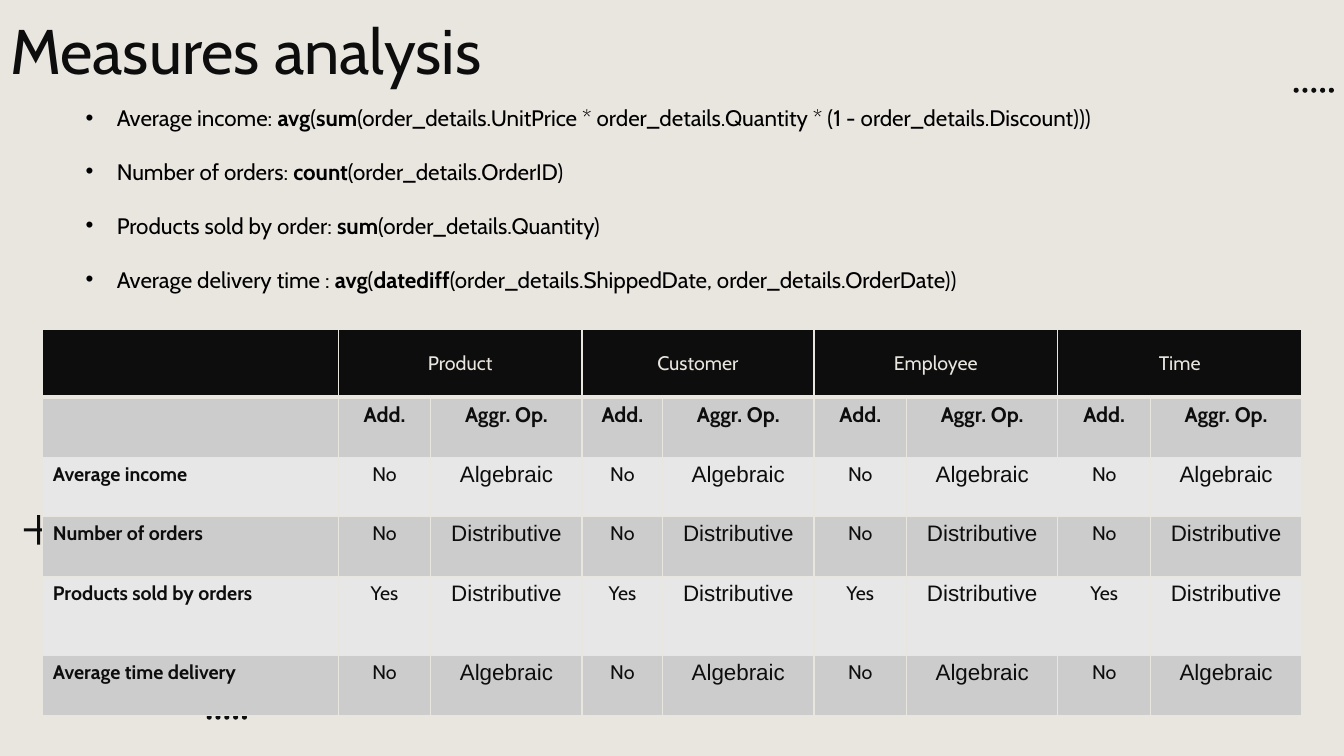
"""Builds the measures analysis slide with its formulas and aggregation table."""
from lxml.etree import SubElement
from pptx import Presentation
from pptx.dml.color import RGBColor
from pptx.enum.shapes import MSO_SHAPE as Shape
from pptx.enum.text import MSO_ANCHOR as Anchor, MSO_AUTO_SIZE as AutoSize, PP_ALIGN as Align
from pptx.oxml.ns import qn
from pptx.util import Inches, Pt

COLORS = {"paper": "E9E5DF", "ink": "0D0D0D", "black": "000000", "dark": "CCCCCC", "light": "E7E7E7"}
GRID_COLUMNS = 160

FORMULAS = [
    [("Average income: ", False), ("avg", True), ("(", False), ("sum", True),
     ("(order_details.UnitPrice * order_details.Quantity * (1 - order_details.Discount)))", False)],
    [("Number of orders: ", False), ("count", True), ("(order_details.OrderID)", False)],
    [("Products sold by order: ", False), ("sum", True), ("(order_details.Quantity)", False)],
    [("Average delivery time : ", False), ("avg", True), ("(", False), ("datediff", True),
     ("(order_details.ShippedDate, order_details.OrderDate))", False)],
]
DIMENSIONS = ["Product", "Customer", "Employee", "Time"]
MEASURES = [
    ("Average income", "No", "Algebraic"),
    ("Number of orders", "No", "Distributive"),
    ("Products sold by orders", "Yes", "Distributive"),
    ("Average time delivery", "No", "Algebraic"),
]
COLUMN_WIDTHS = [35.16, 11.04, 18, 9.6, 18, 11.04, 18, 11.04, 18]
ROW_HEIGHTS = [8, 7.2, 7.08, 7.08, 9.48, 7.08]


class SlideBuilder:
    def __init__(self, presentation):
        self.unit = presentation.slide_width / GRID_COLUMNS
        self.slide = presentation.slides.add_slide(presentation.slide_layouts[5])
        self.paint(self.slide.background.fill, "paper")

    def grid(self, *cells):
        return [round(cell * self.unit) for cell in cells]

    def paint(self, fill, color):
        fill.solid()
        fill.fore_color.rgb = RGBColor.from_string(COLORS[color])

    def run(self, paragraph, text, size, color="ink", bold=False, font="Cabin"):
        run = paragraph.add_run()
        run.text = text
        run.font.name, run.font.size, run.font.bold = font, Pt(size), bold
        run.font.color.rgb = RGBColor.from_string(COLORS[color])

    def title(self, text, *box):
        title = self.slide.shapes.title
        title.left, title.top, title.width, title.height = self.grid(*box)
        frame = title.text_frame
        frame.auto_size, frame.vertical_anchor = AutoSize.NONE, Anchor.MIDDLE
        frame.margin_left = frame.margin_right = frame.margin_top = frame.margin_bottom = Inches(0.1)
        frame.paragraphs[0].alignment = Align.LEFT
        self.run(frame.paragraphs[0], text, 45)

    def ornament(self, kind, *box):
        shape = self.slide.shapes.add_shape(kind, *self.grid(*box))
        shape.shadow.inherit = False
        self.paint(shape.fill, "ink")
        shape.line.fill.background()
        return shape

    def dots(self, left, top):
        for index in range(5):
            self.ornament(Shape.OVAL, left + 1.05 * index, top, 0.6, 0.6)

    def bullets(self, items, *box):
        frame = self.slide.shapes.add_textbox(*self.grid(*box)).text_frame
        frame.word_wrap = True
        for index, item in enumerate(items):
            paragraph = frame.add_paragraph() if index else frame.paragraphs[0]
            if index:
                paragraph.space_before = Pt(19.3)
            properties = paragraph._p.get_or_add_pPr()
            properties.set("marL", str(Inches(0.31)))
            properties.set("indent", str(-Inches(0.31)))
            bullet_color = SubElement(properties, qn("a:buClr"))
            SubElement(bullet_color, qn("a:srgbClr"), val=COLORS["black"])
            SubElement(properties, qn("a:buFont"), typeface="Arial")
            SubElement(properties, qn("a:buChar"), char="•")
            for text, bold in item:
                self.run(paragraph, text, 16, "black", bold)

    def cell(self, cell, fill, bottom=1):
        properties = cell._tc.get_or_add_tcPr()
        for side, width in (("L", 1), ("R", 1), ("T", 1), ("B", bottom)):
            line = SubElement(properties, qn(f"a:ln{side}"), w=str(Pt(width)))
            solid = SubElement(line, qn("a:solidFill"))
            SubElement(solid, qn("a:srgbClr"), val=COLORS["paper"])
        self.paint(cell.fill, fill)

    def cell_text(self, cell, text, size, align=Align.CENTER, **style):
        paragraph = cell.text_frame.paragraphs[0]
        paragraph.alignment = align
        self.run(paragraph, text, size, **style)

    def table(self, left, top):
        box = self.grid(left, top, sum(COLUMN_WIDTHS), sum(ROW_HEIGHTS))
        table = self.slide.shapes.add_table(len(ROW_HEIGHTS), len(COLUMN_WIDTHS), *box).table
        for column, width in zip(table.columns, self.grid(*COLUMN_WIDTHS)):
            column.width = width
        for index, (row, height) in enumerate(zip(table.rows, self.grid(*ROW_HEIGHTS))):
            row.height = height
            fill = "ink" if index == 0 else "dark" if index % 2 else "light"
            for cell in row.cells:
                self.cell(cell, fill, 1 if index else 3)
        for index, dimension in enumerate(DIMENSIONS):
            first = 1 + 2 * index
            header = table.cell(0, first)
            header.merge(table.cell(0, first + 1))
            header.vertical_anchor = Anchor.MIDDLE
            header.margin_left = header.margin_right = header.margin_top = header.margin_bottom = 0
            self.cell_text(header, dimension, 14, color="paper")
            self.cell_text(table.cell(1, first), "Add.", 15, bold=True)
            self.cell_text(table.cell(1, first + 1), "Aggr. Op.", 15, bold=True)
            for row, (_, additive, operator) in enumerate(MEASURES, 2):
                self.cell_text(table.cell(row, first), additive, 14)
                self.cell_text(table.cell(row, first + 1), operator, 16, font="Arial")
        for row, (measure, _, _) in enumerate(MEASURES, 2):
            self.cell_text(table.cell(row, 0), measure, 14, Align.LEFT, bold=True)


def main():
    presentation = Presentation()
    presentation.slide_width, presentation.slide_height = Inches(13.33), Inches(7.5)
    builder = SlideBuilder(presentation)
    plus = builder.ornament(Shape.MATH_PLUS, 2.2, 60.7, 4.8, 4.8)
    plus.adjustments[0] = 0.07
    builder.dots(154, 10.45)
    builder.dots(24.6, 85.1)
    builder.title("Measures analysis", 0, 0, 72.7, 11.8)
    builder.table(5.1, 39.25)
    builder.bullets(FORMULAS, 9, 11.8, 145.6, 23.9)
    presentation.save("out.pptx")


if __name__ == "__main__":
    main()
